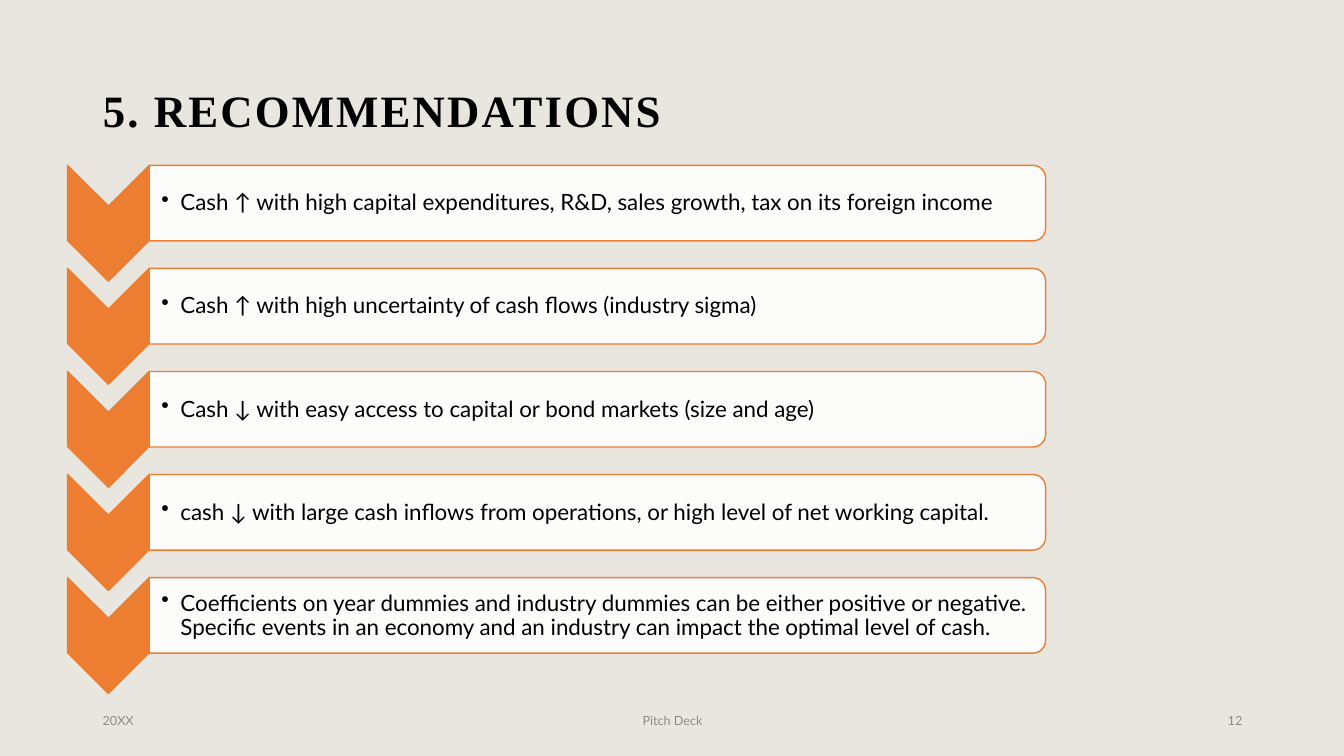
from lxml.etree import SubElement
from pptx import Presentation
from pptx.dml.color import RGBColor
from pptx.enum.shapes import MSO_SHAPE
from pptx.enum.text import MSO_ANCHOR, MSO_AUTO_SIZE, PP_ALIGN
from pptx.oxml.ns import qn
from pptx.util import Pt

PX = 9144  # 100 px to the inch

BACKGROUND = RGBColor(0xE9, 0xE6, 0xDF)
ORANGE = RGBColor(0xED, 0x7D, 0x31)
WHITE = RGBColor(0xFF, 0xFF, 0xFF)
BLACK = RGBColor(0x00, 0x00, 0x00)
GREY = RGBColor(0x8C, 0x8C, 0x8C)

RECOMMENDATIONS = [
    "Cash ↑ with high capital expenditures, R&D, sales growth, tax on its foreign income",
    "Cash ↑ with high uncertainty of cash flows (industry sigma)",
    "Cash ↓ with easy access to capital or bond markets (size and age)",
    "cash ↓ with large cash inflows from operations, or high level of net working capital.",
    "Coefficients on year dummies and industry dummies can be either positive or negative. "
    "Specific events in an economy and an industry can impact the optimal level of cash.",
]


def px(length):
    return round(length * PX)


def write_text(shape, text, size, color=BLACK, font="Lato", bold=False, align=PP_ALIGN.LEFT,
               insets=(10, 5, 10, 5), line_spacing=None, space_after=None,
               tracking=None, bullet_indent=None):
    """Fill a shape with one formatted, vertically centred paragraph."""
    frame = shape.text_frame
    frame.word_wrap = True
    frame.auto_size = MSO_AUTO_SIZE.NONE
    frame.vertical_anchor = MSO_ANCHOR.MIDDLE
    (frame.margin_left, frame.margin_top,
     frame.margin_right, frame.margin_bottom) = map(px, insets)
    paragraph = frame.paragraphs[0]
    paragraph.alignment = align
    if bullet_indent:
        properties = paragraph._p.get_or_add_pPr()
        properties.set("marL", str(px(bullet_indent)))
        properties.set("indent", str(-px(bullet_indent)))
        SubElement(properties, qn("a:buChar"), char="•")
    if line_spacing:
        paragraph.line_spacing = line_spacing
    if space_after:
        paragraph.space_after = Pt(space_after)
    run = paragraph.add_run()
    run.text = text
    run.font.name = font
    run.font.size = Pt(size)
    run.font.bold = bold
    run.font.color.rgb = color
    if tracking:
        run._r.get_or_add_rPr().set("spc", str(tracking))


def add_text_box(slide, left, top, width, height, text, **text_format):
    box = slide.shapes.add_textbox(px(left), px(top), px(width), px(height))
    write_text(box, text, **text_format)


def add_turned_shape(slide, kind, left, top, width, height, fill, opacity=None):
    """Add a shape turned by 90 degrees that covers the given box."""
    shape = slide.shapes.add_shape(
        kind, px(left + (width - height) / 2), px(top + (height - width) / 2),
        px(height), px(width))
    shape.rotation = 90
    shape.shadow.inherit = False
    shape.fill.solid()
    shape.fill.fore_color.rgb = fill
    shape.line.color.rgb = ORANGE
    shape.line.width = Pt(1)
    if opacity:
        color = shape.fill._xPr.find(qn("a:solidFill"))[0]
        SubElement(color, qn("a:alpha"), val=str(opacity * 1000))


def add_title(slide, left, top, width, height, text):
    title = slide.shapes.title
    title.left, title.top, title.width, title.height = map(px, (left, top, width, height))
    write_text(title, text, size=32, font="Times New Roman", bold=True,
               line_spacing=0.9, tracking=150)


def add_recommendation(slide, left, top, width, text):
    chevron_width, panel_height = 81, 75
    panel_left = left + chevron_width
    panel_width = width - chevron_width
    add_turned_shape(slide, MSO_SHAPE.CHEVRON, left, top, chevron_width, 115, ORANGE)
    add_turned_shape(slide, MSO_SHAPE.ROUND_2_SAME_RECTANGLE, panel_left, top,
                     panel_width, panel_height, WHITE, opacity=90)
    add_text_box(slide, panel_left, top + 4, panel_width - 4, panel_height - 7, text,
                 size=16, insets=(12, 1, 1, 1), line_spacing=0.9, bullet_indent=19)


def add_recommendation_list(slide, left, top, width, height, texts):
    row_height = 115
    pitch = (height - row_height) / (len(texts) - 1)
    for index, text in enumerate(texts):
        add_recommendation(slide, left, top + index * pitch, width, text)


def add_footer(slide, left, top, width, height, date, label, number):
    side, middle = 300, 450
    parts = [
        (left, side, date, PP_ALIGN.LEFT),
        (left + (width - middle) / 2, middle, label, PP_ALIGN.CENTER),
        (left + width - side, side, number, PP_ALIGN.RIGHT),
    ]
    for part_left, part_width, text, align in parts:
        add_text_box(slide, part_left, top, part_width, height, text,
                     size=9, color=GREY, align=align, space_after=6)


def main():
    presentation = Presentation()
    presentation.slide_width = px(1333)
    presentation.slide_height = px(750)
    slide = presentation.slides.add_slide(presentation.slide_layouts.get_by_name("Title Only"))
    slide.background.fill.solid()
    slide.background.fill.fore_color.rgb = BACKGROUND

    add_title(slide, 92, 40, 1150, 145, "5. RECOMMENDATIONS")
    add_footer(slide, 92, 695, 1150, 40, "20XX", "Pitch Deck", "12")
    add_recommendation_list(slide, 67, 164, 970, 524, RECOMMENDATIONS)

    presentation.save("out.pptx")


if __name__ == "__main__":
    main()
